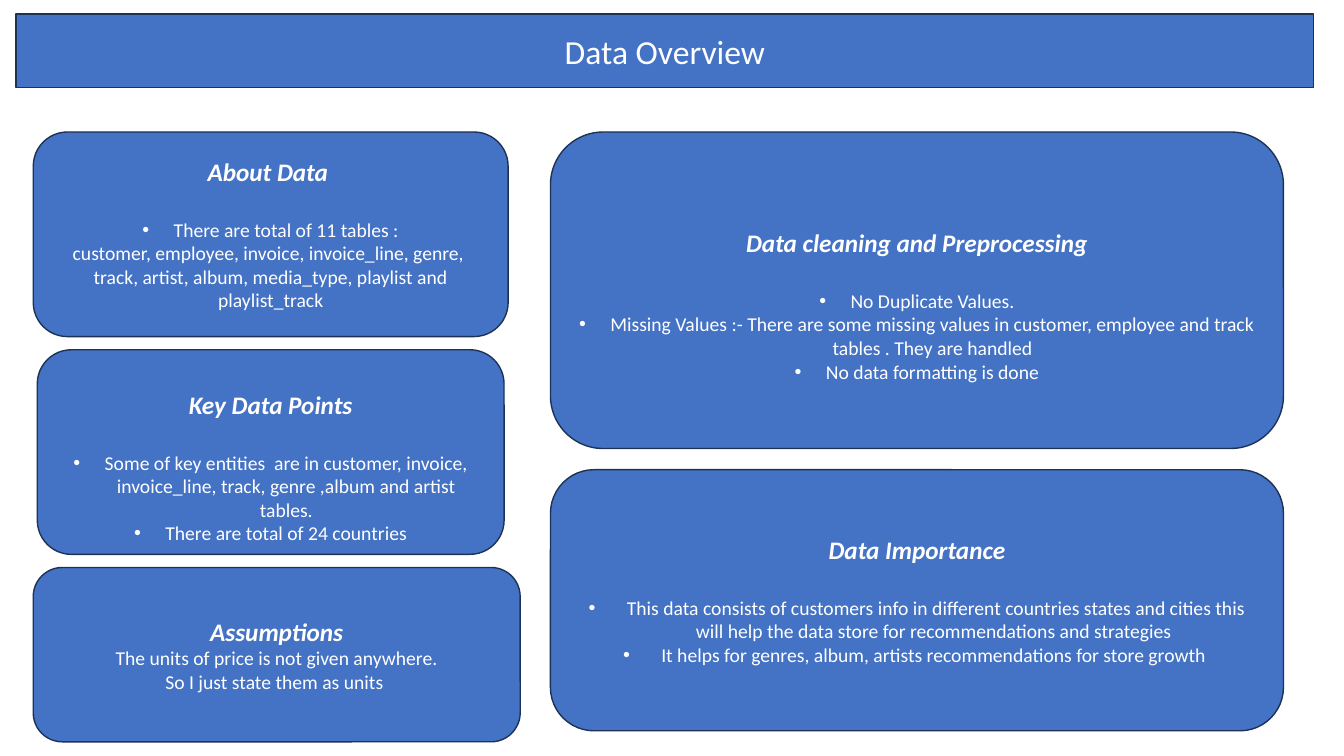
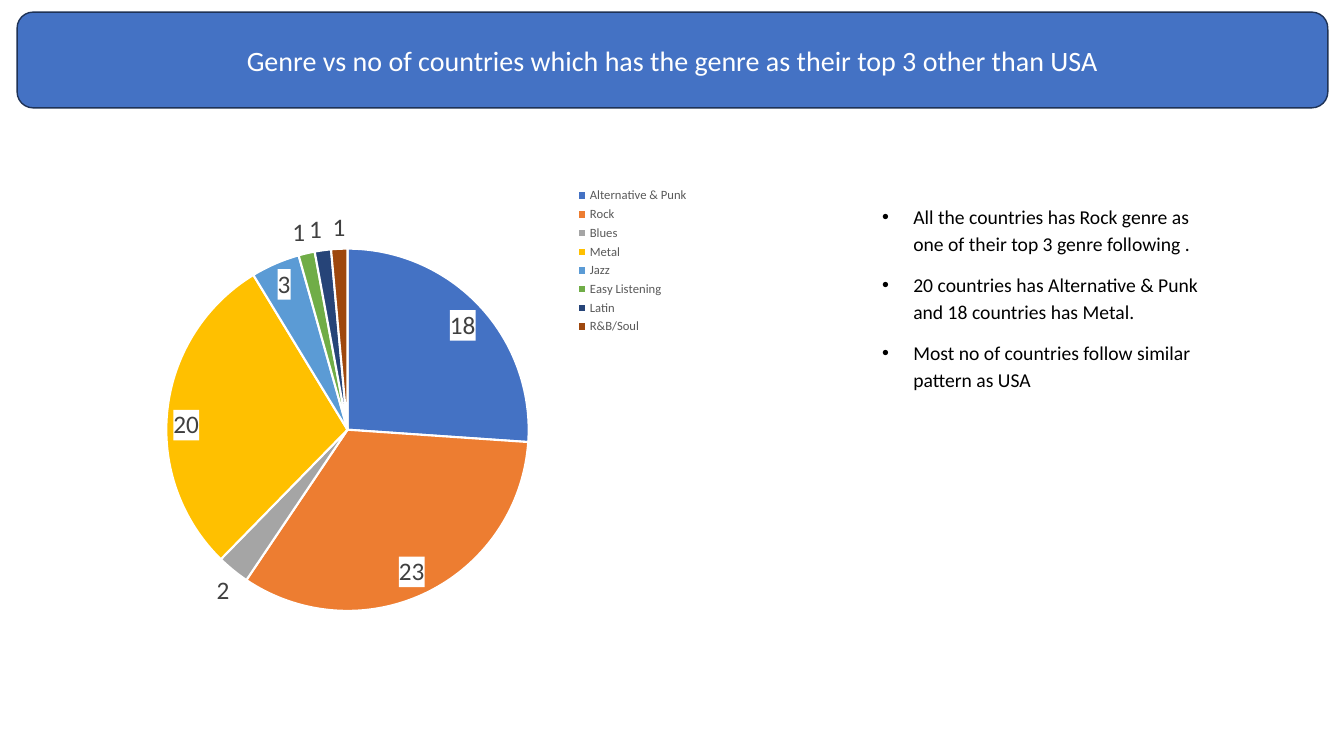
from dataclasses import dataclass

from lxml import etree
from pptx import Presentation
from pptx import util as u
from pptx.chart.data import CategoryChartData
from pptx.dml.color import RGBColor
from pptx.enum import chart as ch, shapes, text
from pptx.oxml import parse_xml
from pptx.oxml.ns import nsdecls, qn


@dataclass(frozen=True)
class Theme:
    font: str = "Calibri"
    fill: str = "4472C4"
    edge: str = "1E3256"
    light: str = "FFFFFF"
    dark: str = "000000"
    legend: str = "595959"
    label: str = "404040"
    slices: tuple = ("4472C4", "ED7D31", "A5A5A5", "FFC000",
                     "5B9BD5", "70AD47", "264478", "9E480E")
    title_size: int = 24
    long_title_size: int = 20
    head_size: int = 18
    body_size: int = 14
    legend_size: int = 9
    label_size: int = 18
    blank_line: int = 22  # height of one heading line, in points


def rgb(value):
    return RGBColor.from_string(value)


class Deck:
    """Holds the theme and the current slide."""

    def __init__(self, theme):
        self.t = theme
        self.prs = Presentation()
        self.prs.slide_width = u.Inches(13.33)
        self.prs.slide_height = u.Inches(7.5)
        self.s = None

    def slide(self):
        self.s = self.prs.slides.add_slide(self.prs.slide_layouts[6])

    def style(self, font, size, color, **more):
        values = {"name": self.t.font, "size": u.Pt(size), **more}
        for key, value in values.items():
            setattr(font, key, value)
        font.color.rgb = rgb(color)

    def paragraph(self, tf, words, size, color, bullet=None, fmt=None, **more):
        """Add a paragraph; bullet is (left margin, hanging indent)."""
        p = tf.paragraphs[0]
        if p.runs:
            p = tf.add_paragraph()
        for key, value in (fmt or {}).items():
            setattr(p, key, value)
        if bullet:
            pPr = p._p.get_or_add_pPr()
            margin, hang = bullet
            pPr.set("marL", str(u.Inches(margin)))
            pPr.set("indent", str(-u.Inches(hang)))
            etree.SubElement(pPr, qn("a:buFont")).set("typeface", "Arial")
            etree.SubElement(pPr, qn("a:buChar")).set("char", "•")
        r = p.add_run()
        r.text = words
        self.style(r.font, size, color, **more)

    def box(self, kind, at):
        sp = self.s.shapes.add_shape(kind, *map(u.Inches, at))
        sp.shadow.inherit = False
        sp.fill.solid()
        sp.fill.fore_color.rgb = rgb(self.t.fill)
        sp.line.color.rgb = rgb(self.t.edge)
        sp.line.width = u.Pt(1)
        tf = sp.text_frame
        tf.word_wrap = True
        tf.vertical_anchor = text.MSO_ANCHOR.MIDDLE
        return tf

    def title(self, words, at, size, kind):
        self.paragraph(self.box(kind, at), words, size, self.t.light,
                       fmt={"alignment": text.PP_ALIGN.CENTER})

    def card(self, head, at, lines, indent=0.31, gap=True, lowered=False):
        """Rounded card; each line is (text, has bullet)."""
        t = self.t
        tf = self.box(shapes.MSO_SHAPE.ROUNDED_RECTANGLE, at)
        if lowered:
            tf.margin_top, tf.margin_bottom = u.Inches(0.3), 0
        center = {"alignment": text.PP_ALIGN.CENTER}
        after = u.Pt(t.blank_line if gap else 0)
        self.paragraph(tf, head, t.head_size, t.light,
                       fmt={**center, "space_after": after},
                       bold=True, italic=True)
        for words, bulleted in lines:
            self.paragraph(tf, words, t.body_size, t.light, fmt=center,
                           bullet=(indent, indent) if bulleted else None)

    def bullets(self, at, lines):
        tf = self.s.shapes.add_textbox(*map(u.Inches, at)).text_frame
        tf.word_wrap = True
        tf.auto_size = text.MSO_AUTO_SIZE.SHAPE_TO_FIT_TEXT
        for words in lines:
            self.paragraph(tf, words, self.t.body_size, self.t.dark,
                           bullet=(0.81, 0.31),
                           fmt={"line_spacing": 1.15, "space_after": u.Pt(10)})

    def pie(self, at, data, plot, inside_from):
        """Pie chart; values from inside_from up are labelled inside."""
        t = self.t
        cd = CategoryChartData()
        cd.categories = list(data)
        cd.add_series("Series 1", list(data.values()))
        chart = self.s.shapes.add_chart(
            ch.XL_CHART_TYPE.PIE, *map(u.Inches, at), cd).chart
        self.style(chart.font, 10, t.dark)
        chart.has_title = False

        # Legend
        chart.has_legend = True
        chart.legend.position = ch.XL_LEGEND_POSITION.CORNER
        chart.legend.include_in_layout = False
        self.style(chart.legend.font, t.legend_size, t.legend)

        # Slices and labels
        pie = chart.plots[0]
        pie.vary_by_categories = True
        ser = pie.series[0]
        ser.data_labels.show_value = True
        self.style(ser.data_labels.font, t.label_size, t.label)
        pos = ch.XL_LABEL_POSITION
        for i, (value, color) in enumerate(zip(data.values(), t.slices)):
            pt = ser.points[i]
            pt.format.fill.solid()
            pt.format.fill.fore_color.rgb = rgb(color)
            pt.format.line.color.rgb = rgb(t.light)
            pt.format.line.width = u.Pt(1.5)
            self.style(pt.data_label.font, t.label_size, t.label)
            pt.data_label.position = (
                pos.INSIDE_END if value >= inside_from else pos.OUTSIDE_END)

        # White label backgrounds
        root = chart._chartSpace
        for txPr in root.xpath(".//c:dLbls//c:txPr"):
            txPr.addprevious(parse_xml(
                f'<c:spPr {nsdecls("c", "a")}><a:solidFill>'
                f'<a:srgbClr val="{t.light}"/></a:solidFill></c:spPr>'))

        # Plot position, as fractions of the chart
        area = root.xpath(".//c:plotArea")[0]
        for old in area.findall(qn("c:layout")):
            area.remove(old)
        sizes = "".join(f'<c:{k} val="{v}"/>' for k, v in zip("xywh", plot))
        area.insert(0, parse_xml(
            f'<c:layout {nsdecls("c")}><c:manualLayout>'
            '<c:layoutTarget val="inner"/><c:xMode val="edge"/>'
            f'<c:yMode val="edge"/>{sizes}</c:manualLayout></c:layout>'))


def overview(d):
    d.slide()
    d.title("Data Overview", (0.16, 0.14, 12.87, 0.73), d.t.title_size,
            shapes.MSO_SHAPE.RECTANGLE)

    # Left column
    d.card("About Data ", (0.33, 1.31, 4.71, 2.03), [
        ("There are total of 11 tables :", True),
        ("customer, employee, invoice, invoice_line, genre, ", False),
        ("track, artist, album, media_type, playlist and playlist_track",
         False)])
    d.card("Key Data Points", (0.37, 3.47, 4.63, 2.03), [
        ("Some of key entities  are in customer, invoice, invoice_line, "
         "track, genre ,album and artist tables.", True),
        ("There are total of 24 countries", True)], lowered=True)
    d.card("Assumptions", (0.33, 5.63, 4.83, 1.73), [
        ("The units of price is not given anywhere.", False),
        ("So I just state them as units ", False)], gap=False)

    # Right column
    d.card("Data cleaning and Preprocessing", (5.46, 1.31, 7.27, 3.14), [
        ("No Duplicate Values.", True),
        ("Missing Values :- There are some missing values in customer, "
         "employee and track tables . They are handled", True),
        ("No data formatting is done", True)], lowered=True)
    d.card("Data Importance", (5.46, 4.66, 7.27, 2.59), [
        ("This data consists of customers info in different countries states "
         "and cities this will help the data store for recommendations and "
         "strategies ", True),
        ("It helps for genres, album, artists recommendations for store "
         "growth ", True)], indent=0.38)


def genres(d):
    d.slide()
    d.title("Genre vs no of countries which has the genre as their top 3 "
            "other than USA", (0.17, 0.12, 13, 0.95), d.t.long_title_size,
            shapes.MSO_SHAPE.ROUNDED_RECTANGLE)
    d.bullets((8.15, 1.95, 4.05, 2.4), [
        "All the countries has Rock genre as one of their top 3 genre "
        "following .",
        "20 countries has Alternative & Punk and 18 countries has Metal.",
        "Most no of countries follow similar pattern as USA"])
    d.pie((1.13, 1.83, 5.72, 4.55),
          {"Alternative & Punk": 18, "Rock": 23, "Blues": 2, "Metal": 20,
           "Jazz": 3, "Easy Listening": 1, "Latin": 1, "R&B/Soul": 1},
          plot=(0.09, 0.14, 0.63, 0.79), inside_from=3)


def main():
    d = Deck(Theme())
    overview(d)
    genres(d)
    d.prs.save("out.pptx")


if __name__ == "__main__":
    main()
